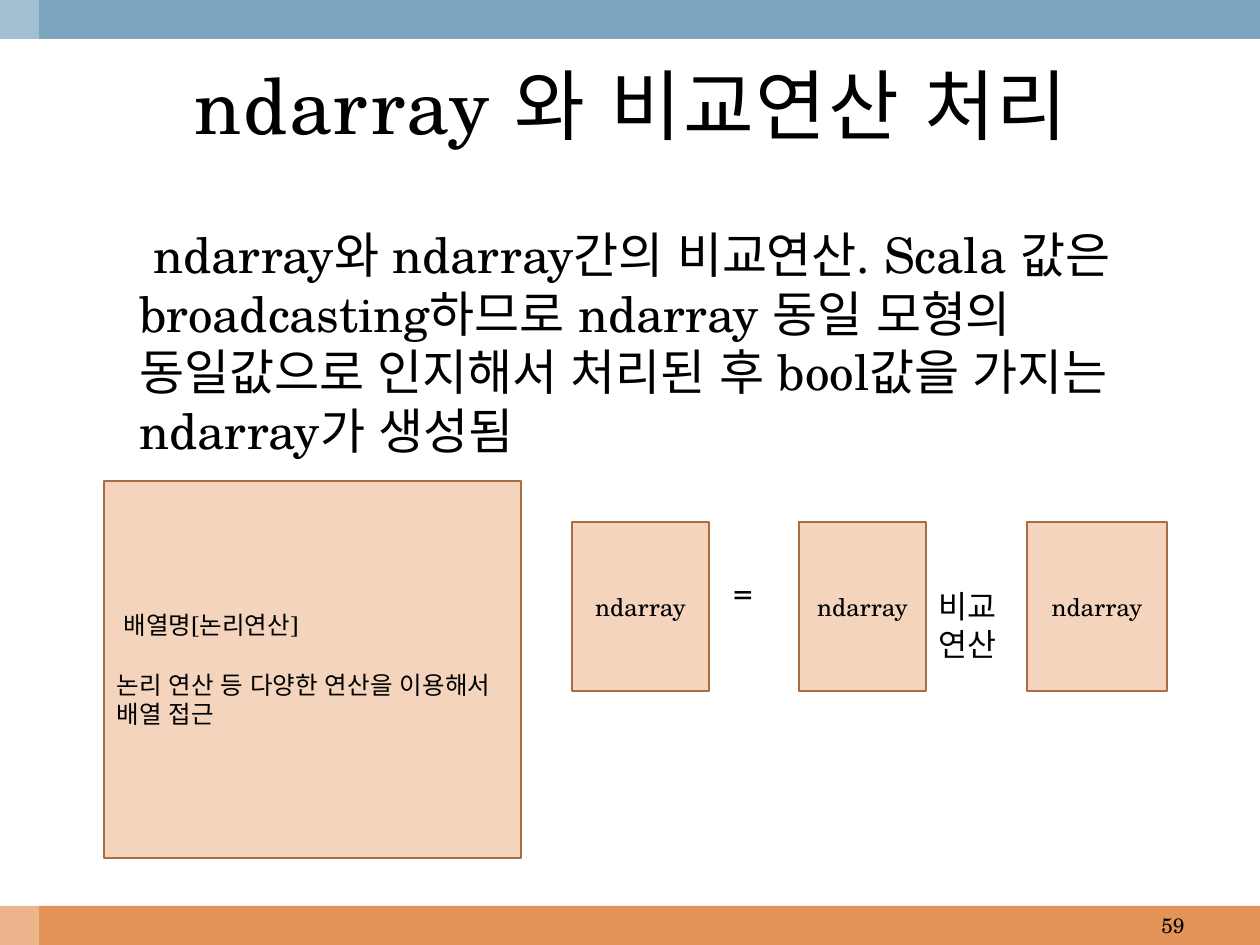
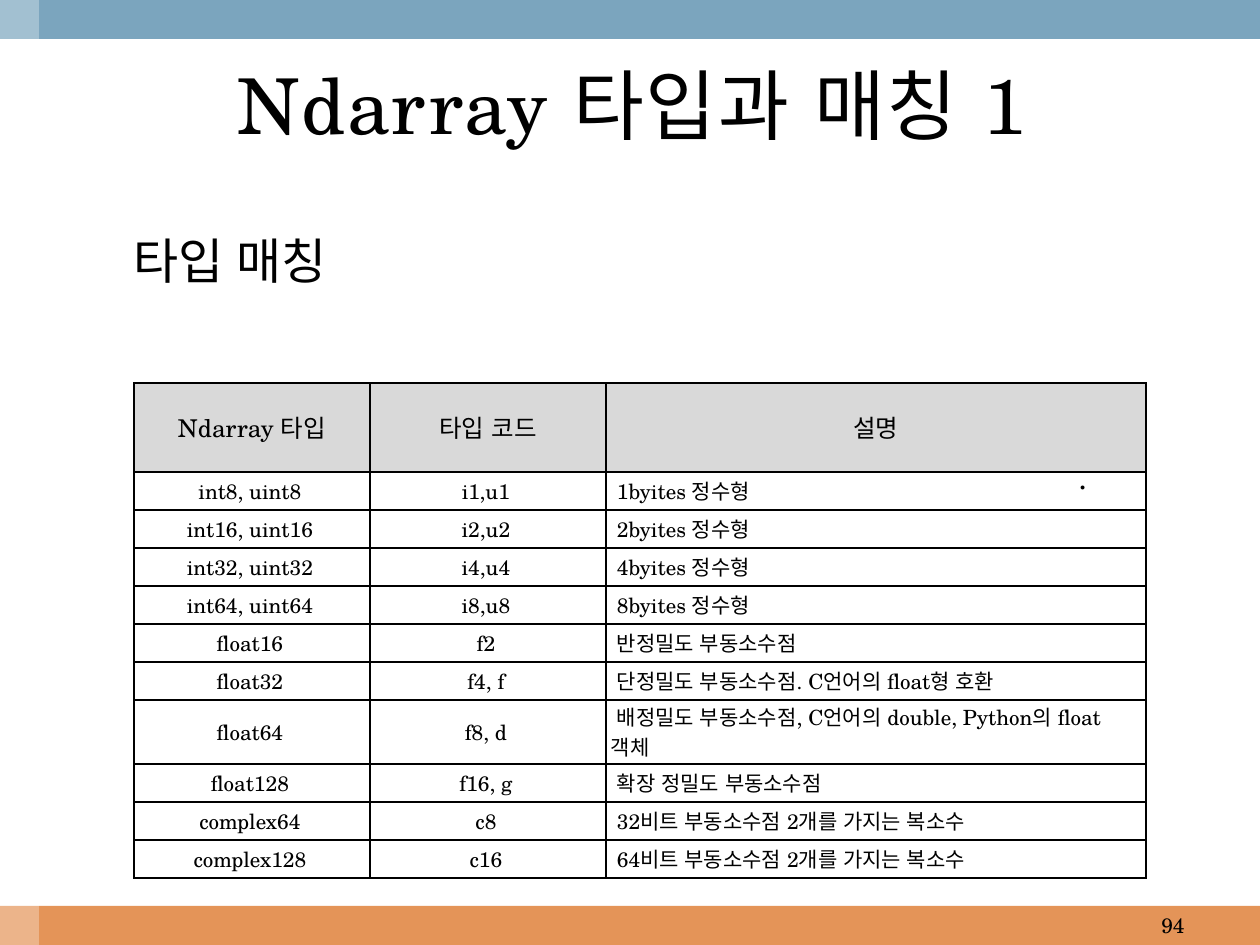
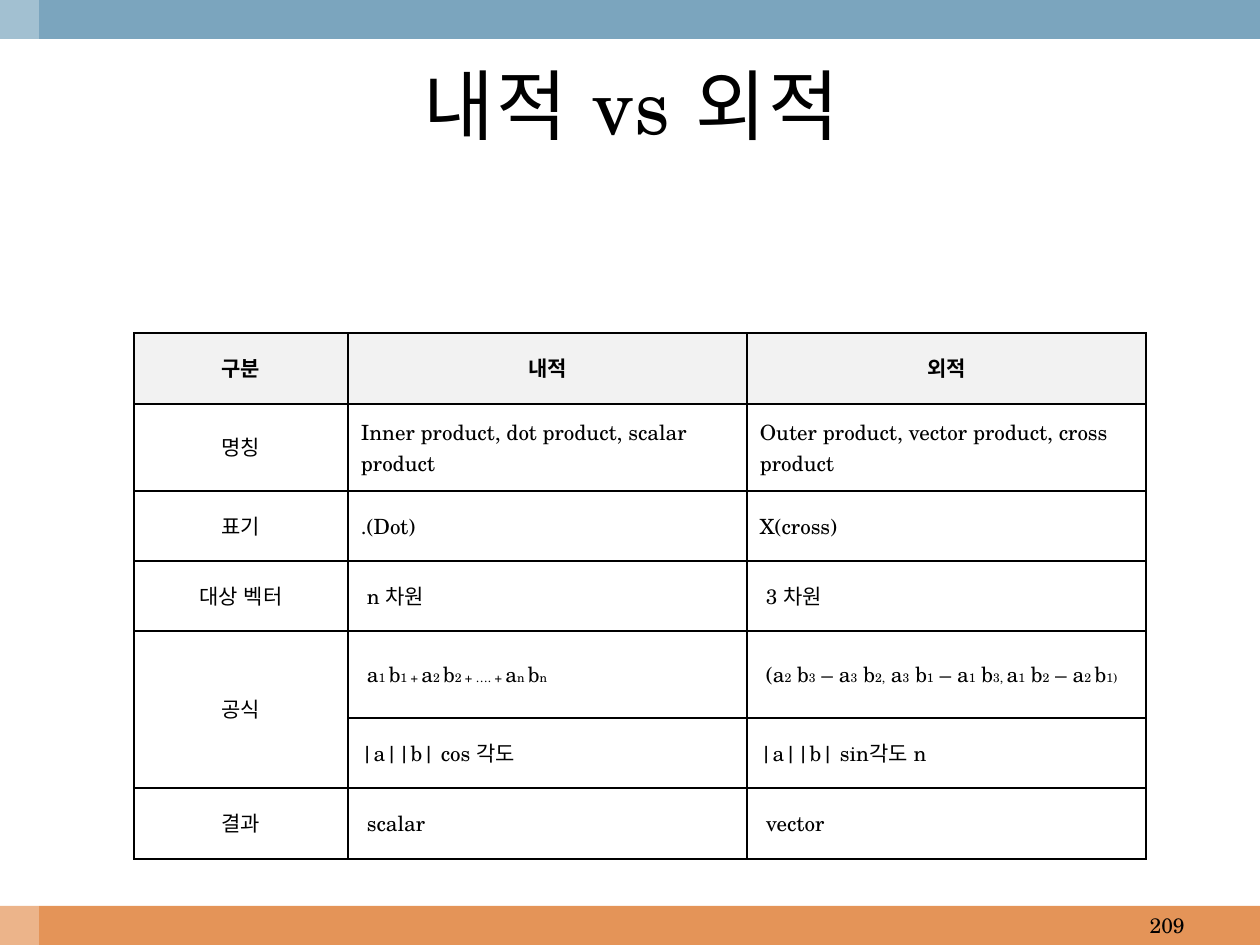
from itertools import cycle

from lxml import etree
from pptx import Presentation
from pptx import util as u
from pptx.dml.color import RGBColor
from pptx.enum import shapes, text
from pptx.oxml import ns

FONT = "TeX Gyre Schola"
COLORS = {
    "ink": "000000",
    "white": "FFFFFF",
    "top_band": "7BA5BE",
    "bottom_band": "E49458",
    "box": "F4D4BC",
    "box_line": "A96D41",
    "type_header": "D9D9D9",
    "product_header": "F2F2F2",
}
WIDTH, HEIGHT, BAND = 1260, 945, 39
LEFT, CENTER, RIGHT = text.PP_ALIGN.LEFT, text.PP_ALIGN.CENTER, text.PP_ALIGN.RIGHT
MIDDLE, TOP = text.MSO_ANCHOR.MIDDLE, text.MSO_ANCHOR.TOP

TYPE_ROWS = [
    ["Ndarray 타입", "타입 코드", "설명"],
    ["int8, uint8", "i1,u1", "1byites 정수형"],
    ["int16, uint16", "i2,u2", "2byites 정수형"],
    ["int32, uint32", "i4,u4", "4byites 정수형"],
    ["int64, uint64", "i8,u8", "8byites 정수형"],
    ["float16", "f2", "반정밀도 부동소수점"],
    ["float32", "f4, f", "단정밀도 부동소수점. C언어의 float형 호환"],
    ["float64", "f8, d", "배정밀도 부동소수점, C언어의 double, Python의 float객체"],
    ["float128", "f16, g", "확장 정밀도 부동소수점"],
    ["complex64", "c8", "32비트 부동소수점 2개를 가지는 복소수"],
    ["complex128", "c16", "64비트 부동소수점 2개를 가지는 복소수"],
]
TYPE_HEIGHTS = [89] + [38] * 6 + [64] + [38] * 3
INNER_FORMULA = ["a", "1 ", "b", "1 + ", "a", "2 ", "b", "2 + …. + ", "a", "n ", "b", "n"]
OUTER_FORMULA = ["(a", "2", " b", "3", " – a", "3", " b", "2,", " a", "3", " b", "1",
                 " – a", "1", " b", "3, ", "a", "1", " b", "2", " – a", "2 ", "b", "1)"]
PRODUCT_ROWS = [
    ["구분", "내적", "외적"],
    ["명칭", "Inner product, dot product, scalar product",
     "Outer product, vector product, cross product"],
    ["표기", ".(Dot)", "X(cross)"],
    ["대상 벡터", "n 차원", "3 차원"],
    ["공식", INNER_FORMULA, OUTER_FORMULA],
    ["", "|a||b| cos 각도", "|a||b| sin각도 n"],
    ["결과", "scalar", "vector"],
]


def px(length):
    return u.Emu(round(length * 914400 / 126))


def rgb(name):
    return RGBColor.from_string(COLORS[name])


def write(frame, lines, size, align=LEFT, anchor=TOP, left=0, first=0, gap=0,
          bold=False, spacing=0, small=7):
    frame.word_wrap = True
    frame.vertical_anchor = anchor
    for index, line in enumerate(lines):
        paragraph = frame.paragraphs[0] if index == 0 else frame.add_paragraph()
        paragraph.alignment = align
        properties = paragraph._p.get_or_add_pPr()
        properties.set("marL", str(px(left)))
        properties.set("indent", str(px(first if index == 0 else 0)))
        if index and gap:
            paragraph.space_before = px(gap)
        pieces = [line] if isinstance(line, str) else line
        for piece, points in zip(pieces, cycle((size, small))):
            run = paragraph.add_run()
            run.text = piece
            run.font.name = FONT
            run.font.size = u.Pt(points)
            run.font.bold = bold
            run.font.color.rgb = rgb("ink")
            run_properties = run._r.get_or_add_rPr()
            etree.SubElement(run_properties, ns.qn("a:ea")).set("typeface", FONT)
            if spacing:
                run_properties.set("spc", str(spacing))


def add_text(slide, box, lines, size, **style):
    shape = slide.shapes.add_textbox(*map(px, box))
    write(shape.text_frame, lines, size, **style)


def add_rectangle(slide, box, fill, line=None):
    shape = slide.shapes.add_shape(shapes.MSO_SHAPE.RECTANGLE, *map(px, box))
    shape.shadow.inherit = False
    shape.fill.solid()
    shape.fill.fore_color.rgb = rgb(fill)
    if line:
        shape.line.color.rgb = rgb(line)
        shape.line.width = u.Pt(1.25)
    else:
        shape.line.fill.background()
    return shape


def add_box(slide, box, lines, **style):
    shape = add_rectangle(slide, box, "box", "box_line")
    write(shape.text_frame, lines, 14, anchor=MIDDLE, **style)


def add_base_slide(presentation, title, number):
    slide = presentation.slides.add_slide(presentation.slide_layouts[6])
    add_rectangle(slide, (0, HEIGHT - BAND, WIDTH, BAND), "bottom_band")
    add_rectangle(slide, (0, 0, WIDTH, BAND), "top_band")
    strip = add_rectangle(slide, (0, 0, BAND, HEIGHT), "white")
    color = strip._element.spPr.find(".//" + ns.qn("a:srgbClr"))
    etree.SubElement(color, ns.qn("a:alpha")).set("val", "30000")
    add_text(slide, (903, HEIGHT - BAND, 294, BAND), [number], 12, align=RIGHT, anchor=MIDDLE)
    add_text(slide, (42, BAND, 1179, 130), [title], 44, align=CENTER, anchor=MIDDLE, spacing=100)
    return slide


def add_cell_borders(cell):
    properties = cell._tc.get_or_add_tcPr()
    for index, side in enumerate(("lnL", "lnR", "lnT", "lnB")):
        line = etree.Element(ns.qn("a:" + side), w=str(u.Pt(1)))
        fill = etree.SubElement(line, ns.qn("a:solidFill"))
        etree.SubElement(fill, ns.qn("a:srgbClr")).set("val", COLORS["ink"])
        properties.insert(index, line)


def add_grid(slide, origin, rows, widths, heights, header_fill, header_style,
             centered_columns, indented_rows, header_margins, body_margins):
    box = (*origin, sum(widths), sum(heights))
    table = slide.shapes.add_table(len(rows), len(widths), *map(px, box)).table
    table.first_row = table.horz_banding = False
    for column, width in zip(table.columns, widths):
        column.width = px(width)
    for row_index, (row, values, height) in enumerate(zip(table.rows, rows, heights)):
        row.height = px(height)
        header = row_index == 0
        margins = header_margins if header else body_margins
        for column_index, (cell, value) in enumerate(zip(row.cells, values)):
            centered = header or column_index < centered_columns
            (cell.margin_left, cell.margin_top,
             cell.margin_right, cell.margin_bottom) = map(px, margins)
            cell.vertical_anchor = MIDDLE
            if header:
                cell.fill.solid()
                cell.fill.fore_color.rgb = rgb(header_fill)
            else:
                cell.fill.background()
            add_cell_borders(cell)
            if value:
                style = header_style if header else {"size": 12}
                first = 6 if row_index in indented_rows and not centered else 0
                write(cell.text_frame, [value], align=CENTER if centered else LEFT,
                      anchor=MIDDLE, first=first, **style)
    return table


def add_comparison_diagram(slide, left, top):
    for offset, width in ((0, 137), (227, 127), (455, 140)):
        add_box(slide, (left + offset, top, width, 169), ["ndarray"], align=CENTER)
    add_text(slide, (left + 149, top + 44, 57, 50), ["="], 18)
    add_text(slide, (left + 354, top + 59, 121, 89), ["비교", "연산"], 18)


def build_comparison_slide(presentation):
    slide = add_base_slide(presentation, "ndarray 와 비교연산 처리", "59")
    body = ("ndarray와 ndarray간의 비교연산. Scala 값은 broadcasting하므로 ndarray 동일 모형의 "
            "동일값으로 인지해서 처리된 후 bool값을 가지는 ndarray가 생성됨")
    add_text(slide, (64, 218, 1134, 255), [body], 28, left=63, first=14)
    add_comparison_diagram(slide, 572, 522)
    add_box(slide, (104, 481, 417, 377),
            ["배열명[논리연산]", "논리 연산 등 다양한 연산을 이용해서 배열 접근"], first=7, gap=30)


def build_type_slide(presentation):
    slide = add_base_slide(presentation, "Ndarray 타입과 매칭 1", "94")
    add_text(slide, (63, 224, 1134, 118), ["타입 매칭"], 28, left=44, first=14)
    add_grid(slide, (134, 383), TYPE_ROWS, [236, 236, 540], TYPE_HEIGHTS,
             "type_header", {"size": 14}, 2, range(1, 11), (5, 3, 5, 3), (5, 1, 9, 1))
    add_text(slide, (1066, 452, 60, 50), ["."], 18)


def build_product_slide(presentation):
    slide = add_base_slide(presentation, "내적 vs 외적", "209")
    margins = (13, 6, 13, 6)
    table = add_grid(slide, (134, 333), PRODUCT_ROWS, [214, 399, 399],
                     [71, 87, 70, 70, 87, 70, 71], "product_header",
                     {"size": 12, "bold": True}, 1, (3, 4, 6), margins, margins)
    table.cell(4, 0).merge(table.cell(5, 0))


def main():
    presentation = Presentation()
    presentation.slide_width, presentation.slide_height = px(WIDTH), px(HEIGHT)
    build_comparison_slide(presentation)
    build_type_slide(presentation)
    build_product_slide(presentation)
    presentation.save("out.pptx")


if __name__ == "__main__":
    main()
